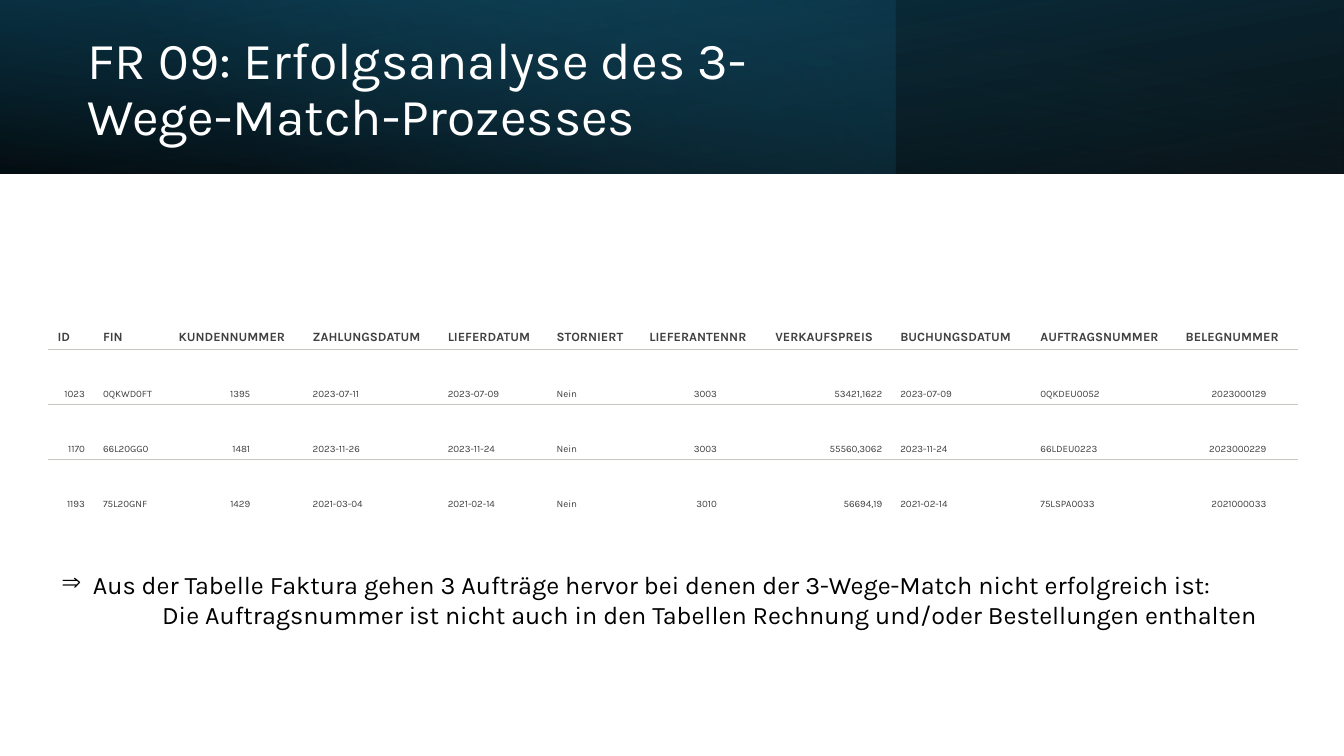
from dataclasses import dataclass

from lxml import etree
from pptx import Presentation
from pptx.dml.color import RGBColor
from pptx.enum.shapes import MSO_SHAPE as Shape
from pptx.enum.text import MSO_ANCHOR as Anchor, MSO_AUTO_SIZE as AutoSize, PP_ALIGN as Align
from pptx.oxml import parse_xml
from pptx.oxml.ns import nsdecls, qn
from pptx.util import Pt

FONT = "Karla"
WHITE, BLACK, TABLE_TEXT, RULE = "FFFFFF", "000000", "404040", "C7C6C1"
SLIDE_WIDTH, SLIDE_HEIGHT, BAND_HEIGHT = 960, 540, 124
NO_TABLE_STYLE = "{2D5ABB26-0587-4C30-8999-92F81FD0307C}"


@dataclass
class Stop:
    position: int
    color: str
    opacity: int = 100


@dataclass
class Band:
    width: float
    angle: int
    stops: list[Stop]
    flipped: bool = False
    rotation: int = 0


@dataclass
class Column:
    heading: str
    values: list[str]
    width: float
    spacer: float = 0  # width of the empty column that the heading also spans
    align: Align = Align.LEFT


BANDS = [
    Band(SLIDE_WIDTH, 100, [Stop(0, BLACK, 96), Stop(100, "0B3649")], True, 180),
    Band(640, 140, [Stop(0, "0F4861", 41), Stop(74, "30AADF", 0)]),
    Band(SLIDE_WIDTH, 260, [Stop(0, BLACK, 63), Stop(78, "0F4861", 15)], True),
]

COLUMNS = [
    Column("ID", ["1023", "1170", "1193"], 32.4, align=Align.RIGHT),
    Column("FIN", ["0QKWD0FT", "66L20GG0", "75L20GNF"], 54),
    Column("KUNDENNUMMER", ["1395", "1481", "1429"], 64.1, 31.7, Align.RIGHT),
    Column("ZAHLUNGSDATUM", ["2023-07-11", "2023-11-26", "2021-03-04"], 65.5, 31),
    Column("LIEFERDATUM", ["2023-07-09", "2023-11-24", "2021-02-14"], 77.8),
    Column("STORNIERT", ["Nein", "Nein", "Nein"], 66.2),
    Column("LIEFERANTENNR", ["3003", "3003", "3010"], 61.2, 28.8, Align.RIGHT),
    Column("VERKAUFSPREIS", ["53421,1622", "55560,3062", "56694,19"], 89.3, align=Align.RIGHT),
    Column("BUCHUNGSDATUM", ["2023-07-09", "2023-11-24", "2021-02-14"], 67.7, 32.4),
    Column("AUFTRAGSNUMMER", ["0QKDEU0052", "66LDEU0223", "75LSPA0033"], 82.1, 21.6),
    Column("BELEGNUMMER", ["2023000129", "2023000229", "2021000033"], 70.6, 15.1, Align.RIGHT),
]
ROW_HEIGHTS = [72, 39.3, 39.3, 39.3]


def rgb(color: str) -> RGBColor:
    return RGBColor.from_string(color)


def format_text(paragraph, size: float, color: str, bold: bool = False) -> None:
    for run in paragraph.runs:
        run.font.name = FONT
        run.font.size = Pt(size)
        run.font.bold = bold
        run.font.color.rgb = rgb(color)


def add_band(slide, band: Band) -> None:
    shape = slide.shapes.add_shape(Shape.RECTANGLE, 0, 0, Pt(band.width), Pt(BAND_HEIGHT))
    shape.shadow.inherit = False
    shape.line.fill.background()
    shape.rotation = band.rotation
    shape.fill.background()
    stops = "".join(
        f'<a:gs pos="{stop.position * 1000}"><a:srgbClr val="{stop.color}">'
        f'<a:alpha val="{stop.opacity * 1000}"/></a:srgbClr></a:gs>'
        for stop in band.stops
    )
    gradient = parse_xml(
        f'<a:gradFill {nsdecls("a")} rotWithShape="1"><a:gsLst>{stops}</a:gsLst>'
        f'<a:lin ang="{band.angle * 60000}" scaled="0"/></a:gradFill>'
    )
    properties = shape.element.spPr
    properties.replace(properties.find(qn("a:noFill")), gradient)
    if band.flipped:
        properties.find(qn("a:xfrm")).set("flipH", "1")


def place_title(slide, text: str) -> None:
    title = slide.shapes.title
    slide.shapes.element.append(title.element)  # in front of the bands
    title.left, title.top, title.width, title.height = Pt(55.4), Pt(19.4), Pt(555.8), Pt(91.4)
    frame = title.text_frame
    frame.text = text
    frame.word_wrap = True
    frame.auto_size = AutoSize.NONE
    frame.vertical_anchor = Anchor.MIDDLE
    paragraph = frame.paragraphs[0]
    paragraph.alignment = Align.LEFT
    paragraph.line_spacing = 0.9
    format_text(paragraph, 37, WHITE)


def fill_cell(cell, text: str, size: float, bold: bool, align: Align) -> None:
    cell.margin_left, cell.margin_right = Pt(7.2), Pt(5.8)
    cell.margin_top = cell.margin_bottom = Pt(3.6)
    cell.vertical_anchor = Anchor.BOTTOM
    cell.text = text
    paragraph = cell.text_frame.paragraphs[0]
    paragraph.alignment = align
    format_text(paragraph, size, TABLE_TEXT, bold)


def rule_below(cell) -> None:
    line = parse_xml(
        f'<a:lnB {nsdecls("a")} w="{Pt(0.75)}"><a:solidFill><a:srgbClr val="{RULE}"/>'
        "</a:solidFill></a:lnB>"
    )
    cell._tc.get_or_add_tcPr().insert(0, line)


def add_invoice_table(slide) -> None:
    widths = [width for column in COLUMNS for width in (column.width, column.spacer) if width]
    frame = slide.shapes.add_table(
        len(ROW_HEIGHTS), len(widths), Pt(34), Pt(177.8), Pt(sum(widths)), Pt(sum(ROW_HEIGHTS))
    )
    table = frame.table
    table.first_row = table.horz_banding = False
    next(table._tbl.iter(qn("a:tableStyleId"))).text = NO_TABLE_STYLE
    for grid_column, width in zip(table.columns, widths):
        grid_column.width = Pt(width)
    for row, height in zip(table.rows, ROW_HEIGHTS):
        row.height = Pt(height)

    # Headings and values
    index = 0
    for column in COLUMNS:
        heading = table.cell(0, index)
        if column.spacer:
            heading.merge(table.cell(0, index + 1))
        fill_cell(heading, column.heading, 9, True, Align.LEFT)
        for row_index, value in enumerate(column.values, start=1):
            fill_cell(table.cell(row_index, index), value, 7, False, column.align)
        index += 2 if column.spacer else 1

    # Fills, and rules between the rows
    for row_index in range(len(ROW_HEIGHTS)):
        for column_index in range(len(widths)):
            cell = table.cell(row_index, column_index)
            cell.fill.background()
            if row_index < len(ROW_HEIGHTS) - 1:
                rule_below(cell)


def add_conclusion(slide, finding: str, detail: str) -> None:
    frame = slide.shapes.add_textbox(Pt(36.7), Pt(403.2), Pt(886.3), Pt(51)).text_frame
    frame.word_wrap = True
    frame.auto_size = AutoSize.SHAPE_TO_FIT_TEXT
    first, second = frame.paragraphs[0], frame.add_paragraph()
    first.text, second.text = finding, detail
    for paragraph in (first, second):
        format_text(paragraph, 18, BLACK)
    bullet = first._p.get_or_add_pPr()
    bullet.set("marL", str(Pt(22.5)))
    bullet.set("indent", str(Pt(-22.5)))
    etree.SubElement(bullet, qn("a:buChar")).set("char", "⇒")
    second._p.get_or_add_pPr().set("marL", str(Pt(72)))


def main() -> None:
    presentation = Presentation()
    presentation.slide_width, presentation.slide_height = Pt(SLIDE_WIDTH), Pt(SLIDE_HEIGHT)
    slide = presentation.slides.add_slide(presentation.slide_layouts[5])
    for band in BANDS:
        add_band(slide, band)
    place_title(slide, "FR 09: Erfolgsanalyse des 3-Wege-Match-Prozesses")
    add_invoice_table(slide)
    add_conclusion(
        slide,
        "Aus der Tabelle Faktura gehen 3 Aufträge hervor bei denen der 3-Wege-Match nicht erfolgreich ist:",
        "Die Auftragsnummer ist nicht auch in den Tabellen Rechnung und/oder Bestellungen enthalten",
    )
    presentation.save("out.pptx")


if __name__ == "__main__":
    main()
